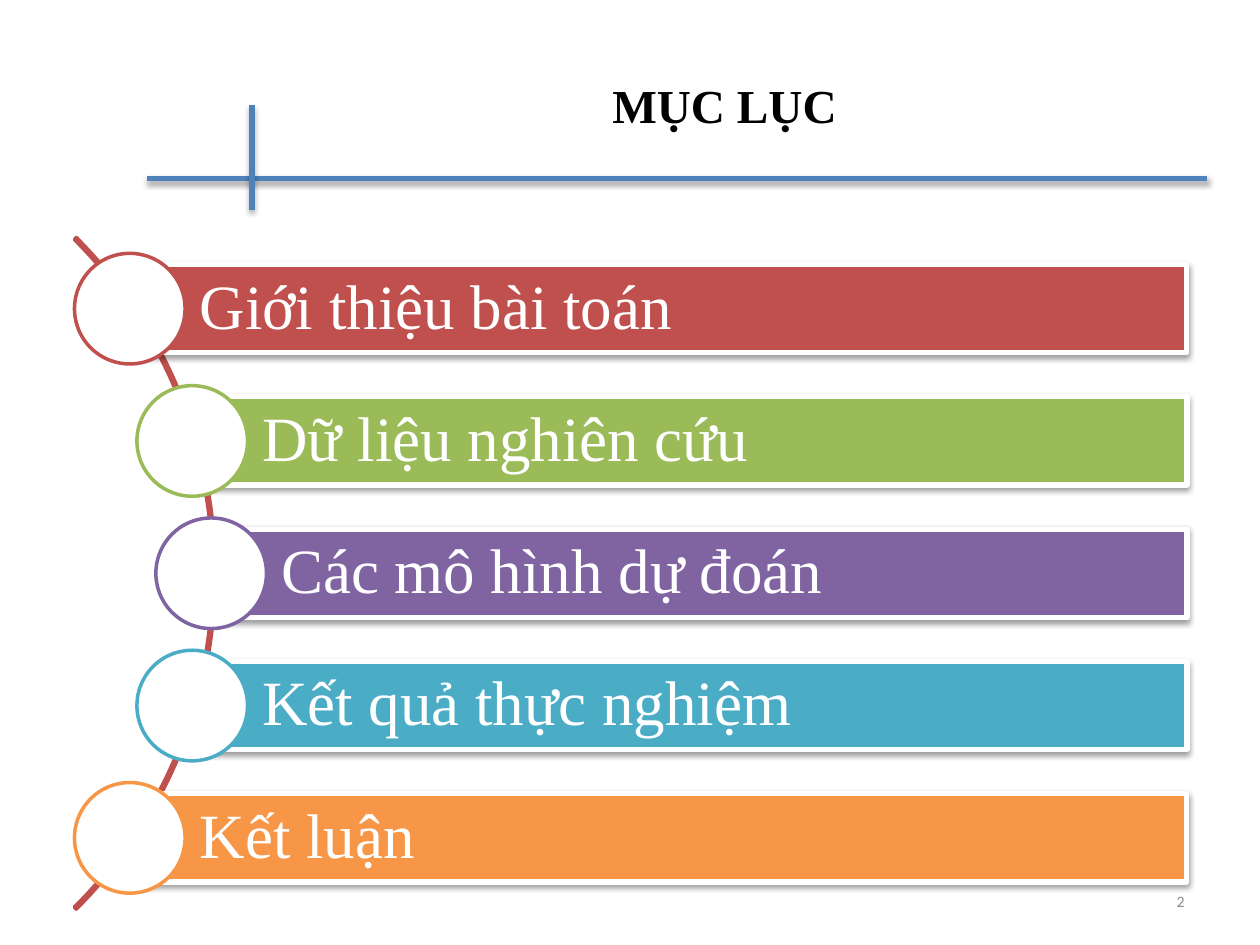
"""Build a table-of-contents slide with five coloured bars along an arc."""
from math import sqrt

from lxml import etree
from pptx import Presentation
from pptx.dml.color import RGBColor
from pptx.enum.shapes import MSO_CONNECTOR, MSO_SHAPE
from pptx.enum.text import MSO_ANCHOR, PP_ALIGN
from pptx.oxml.ns import qn
from pptx.util import Pt

LINE = MSO_CONNECTOR.STRAIGHT
RECT, OVAL, ARC = MSO_SHAPE.RECTANGLE, MSO_SHAPE.OVAL, MSO_SHAPE.BLOCK_ARC
MIDDLE = MSO_ANCHOR.MIDDLE
LEFT, CENTER, RIGHT = PP_ALIGN.LEFT, PP_ALIGN.CENTER, PP_ALIGN.RIGHT

BLACK = RGBColor(0x00, 0x00, 0x00)
WHITE = RGBColor(0xFF, 0xFF, 0xFF)
GRAY = RGBColor(0x8C, 0x8C, 0x8C)
BLUE = RGBColor(0x4F, 0x81, 0xBD)
RED = RGBColor(0xC0, 0x50, 0x4D)
GREEN = RGBColor(0x9B, 0xBB, 0x59)
PURPLE = RGBColor(0x80, 0x64, 0xA2)
TEAL = RGBColor(0x4B, 0xAC, 0xC6)
ORANGE = RGBColor(0xF7, 0x96, 0x46)

TITLE = "MỤC LỤC"
PAGE_NUMBER = "2"
SECTIONS = [
    ("Giới thiệu bài toán", RED),
    ("Dữ liệu nghiên cứu", GREEN),
    ("Các mô hình dự đoán", PURPLE),
    ("Kết quả thực nghiệm", TEAL),
    ("Kết luận", ORANGE),
]
RULES = [(84.24, 102.2, 689.76, 102.2), (144, 60, 144, 120)]

SERIF, SANS = "Times New Roman", "Calibri"
ARC_X, ARC_Y, ARC_SIZE = -148.3, 327.6, 542.8
CIRCLE_TRACK = 269
PITCH, BAR_HEIGHT, BAR_RIGHT, CIRCLE = 75.6, 50.4, 678.24, 63.2


def add_shadow(shape, alpha, distance):
    properties = shape._element.spPr
    effects = etree.SubElement(properties, qn("a:effectLst"))
    outer = etree.SubElement(
        effects, qn("a:outerShdw"), blurRad=str(Pt(3.1)), dist=str(Pt(distance)),
        dir="5400000", rotWithShape="0")
    color = etree.SubElement(outer, qn("a:srgbClr"), val="000000")
    etree.SubElement(color, qn("a:alpha"), val=str(alpha * 1000))


def add_outlined(slide, kind, box, fill, line, width):
    shape = slide.shapes.add_shape(kind, *map(Pt, box))
    if fill is None:
        shape.fill.background()
    else:
        shape.fill.solid()
        shape.fill.fore_color.rgb = fill
    shape.line.color.rgb = line
    shape.line.width = Pt(width)
    return shape


def write(shape, text, size, font, color, align, bold=False):
    frame = shape.text_frame
    frame.word_wrap = True
    frame.vertical_anchor = MIDDLE
    paragraph = frame.paragraphs[0]
    paragraph.text = text
    paragraph.alignment = align
    paragraph.font.size = Pt(size)
    paragraph.font.name = font
    paragraph.font.bold = bold
    paragraph.font.color.rgb = color


def add_label(slide, box, *style):
    write(slide.shapes.add_textbox(*map(Pt, box)), *style)


def add_section(slide, index, text, color):
    offset = (index - (len(SECTIONS) - 1) / 2) * PITCH
    x = ARC_X + sqrt(CIRCLE_TRACK ** 2 - offset ** 2)
    y = ARC_Y + offset
    bar = add_outlined(
        slide, RECT, (x, y - BAR_HEIGHT / 2, BAR_RIGHT - x, BAR_HEIGHT), color, WHITE, 3)
    add_shadow(bar, 38, 1.6)
    write(bar, text, 36, SERIF, WHITE, LEFT)
    frame = bar.text_frame
    frame.margin_left = Pt(40)
    frame.margin_top = frame.margin_right = frame.margin_bottom = Pt(7.2)
    frame.paragraphs[0].line_spacing = 0.9
    circle = add_outlined(
        slide, OVAL, (x - CIRCLE / 2, y - CIRCLE / 2, CIRCLE, CIRCLE), WHITE, color, 2)
    circle.shadow.inherit = False


def main():
    deck = Presentation()
    deck.slide_width, deck.slide_height = Pt(720), Pt(540)
    slide = deck.slides.add_slide(deck.slide_layouts[6])

    for ends in RULES:
        rule = slide.shapes.add_connector(LINE, *map(Pt, ends))
        rule.line.color.rgb = BLUE
        rule.line.width = Pt(3)
        add_shadow(rule, 35, 1.8)
    add_label(slide, (84, 15, 660, 90), TITLE, 27, SERIF, BLACK, CENTER, True)

    radius = ARC_SIZE / 2
    arc = add_outlined(
        slide, ARC, (ARC_X - radius, ARC_Y - radius, ARC_SIZE, ARC_SIZE), None, RED, 2)
    arc.shadow.inherit = False
    for position, value in enumerate((189, 27, 0.003)):
        arc.adjustments[position] = value

    for index, (text, color) in enumerate(SECTIONS):
        add_section(slide, index, text, color)
    add_label(slide, (516, 500.5, 168, 28.75), PAGE_NUMBER, 9, SANS, GRAY, RIGHT)
    deck.save("out.pptx")


if __name__ == "__main__":
    main()
